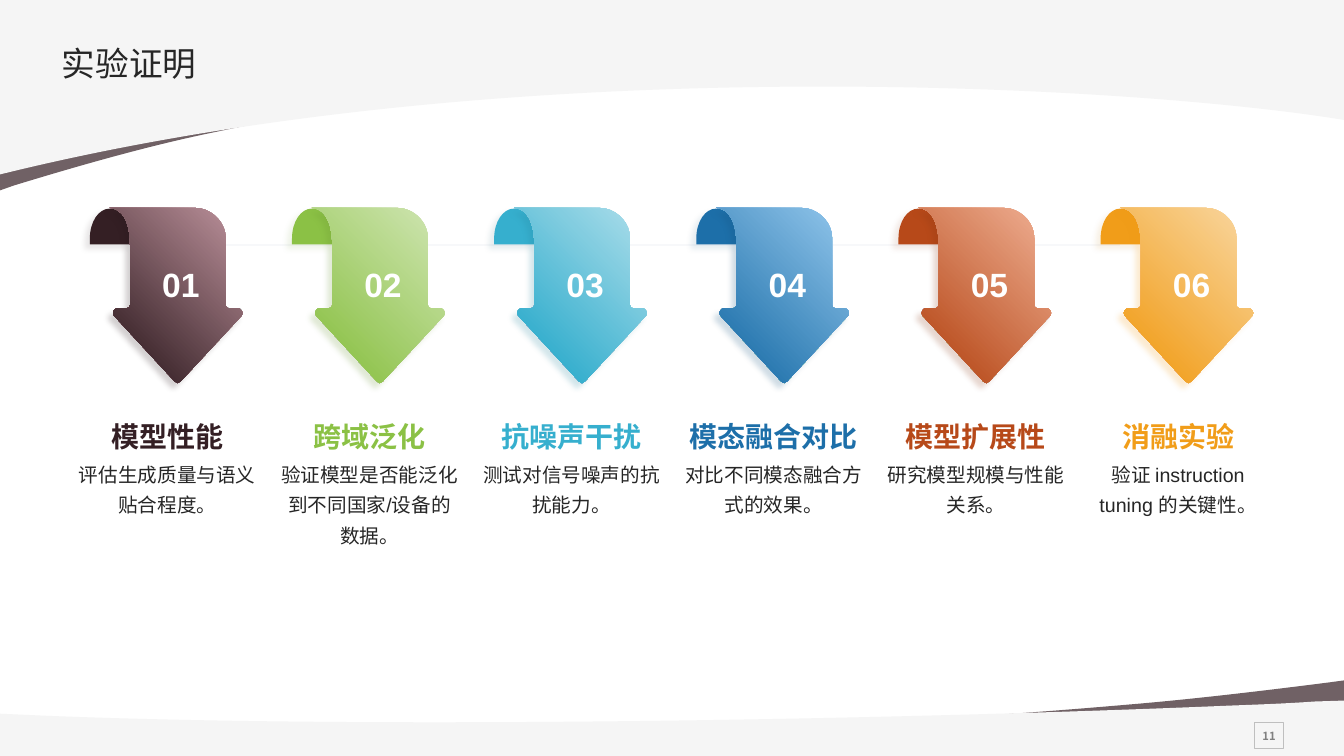
from dataclasses import dataclass

from lxml import etree
from pptx import Presentation
from pptx import util as u
from pptx.dml import color as clr
from pptx.enum import shapes, text
from pptx.oxml import ns

Pt = u.Pt


@dataclass(frozen=True)
class Theme:
    latin: str = "Arial"
    chinese: str = "Noto Sans CJK SC"
    ink: str = "262626"
    white: str = "FFFFFF"
    band: str = "F5F5F5"
    swoosh: str = "341F24"
    rail: str = "99A8BD"
    page_text: str = "808080"
    page_frame: str = "BFBFBF"
    title_size: int = 24
    number_size: int = 24
    heading_size: int = 20
    body_size: int = 14
    page_size: int = 8


THEME = Theme()

# Outlines in points: pairs are straight lines, sixes are Bézier curves
TOP_SWOOSH = [(0, 136), (0, 16), (960, 16), (960, 65.5),
              (743, 4.3, 370, 48.2, 154, 94.3), (111, 103, 62, 116.6, 10, 132.5)]
TOP_BAND = [(0, 0), (960, 0), (960, 85.7), (820.8, 62.6, 372.2, 32.4, 0, 124.6)]
BOTTOM_SWOOSH = [(960, 486), (960, 535.7), (0, 535.7), (0, 514.8),
                 (216.7, 540, 590.4, 522, 805.7, 503.3), (849, 499.7, 898, 494, 949.7, 487.4)]
BOTTOM_BAND = [(960, 500.4), (960, 540), (0, 540), (0, 509.8), (31.7, 511.2),
               (282.2, 521.3, 655.2, 513.4, 878.4, 504), (897, 503.3, 918, 502.6, 939, 501.1)]

# Arrow outlines, x measured from the left edge of the column
FOLD = [(23, 149), (31.5, 149, 38.4, 158.4, 38.4, 170.4), (38.4, 174.6), (8.8, 174.6),
        (8.8, 170.4), (8.8, 158.4, 15.1, 149, 23, 149)]
ARROW = [(23, 148.5), (84, 148.5), (88.5, 149), (98, 151.2, 105.8, 159.8, 105.8, 170),
         (105.8, 218), (105.8, 219.6, 106.8, 220.3, 108.6, 220.3), (115.2, 220.3),
         (116.5, 220.3, 118.8, 223, 117.4, 225.3), (73.6, 272.4),
         (73, 273.2, 72.4, 273.6, 71.5, 273.6), (70.6, 273.6, 69.8, 273.2, 69.4, 272.4),
         (25.9, 225.3), (24.5, 223, 26.4, 220.3, 28.3, 220.3), (34.6, 220.3),
         (36.4, 220.3, 37.5, 219.6, 37.5, 218), (37.5, 175),
         (37.5, 152, 27.4, 148.5, 23, 148.5)]

COLUMN_LEFT, COLUMN_PITCH, COLUMN_WIDTH = 55.4, 144.4, 128.2

# heading, body, main colour, light colour, its stop, fold shadow, arrow shadow
EXPERIMENTS = [
    ("模型性能", "评估生成质量与语义贴合程度。", "341F24", "BF949E", 0.9, "27171B", "27171B"),
    ("跨域泛化", "验证模型是否能泛化到不同国家/设备的数据。", "8BC145", "D1E6B5", 0.9, "699331", "699331"),
    ("抗噪声干扰", "测试对信号噪声的抗扰能力。", "36AFCE", "AFDFEB", 0.8, "195869", "26859D"),
    ("模态融合对比", "对比不同模态融合方式的效果。", "1D6FA9", "94C8ED", 0.9, "16537F", "16537F"),
    ("模型扩展性", "研究模型规模与性能关系。", "B74919", "F0B195", 0.9, "893713", "893713"),
    ("消融实验", "验证 instruction tuning 的关键性。", "F19D19", "F9D8A3", 0.9, "BC770B", "F19D19"),
]


def rgb(value):
    return clr.RGBColor.from_string(value)


def child(parent, tag, **attributes):
    return etree.SubElement(parent, ns.qn(tag), {k: str(v) for k, v in attributes.items()})


def set_alpha(element, percent):
    for color in element.iter(ns.qn("a:srgbClr")):
        child(color, "a:alpha", val=percent * 1000)


def bend(shape, outline):
    """Join each curve's three line segments into one Bézier segment."""
    contour = next(shape._element.spPr.iter(ns.qn("a:path")))
    segments = iter(contour.findall(ns.qn("a:lnTo")))
    for part in outline[1:]:
        curve = next(segments)
        if len(part) == 6:
            curve.tag = ns.qn("a:cubicBezTo")
            for segment in (next(segments), next(segments)):
                curve.append(segment[0])
                contour.remove(segment)


def add_outline(slide, outline, fill, left=0):
    points = [(Pt(left + part[i]), Pt(part[i + 1]))
              for part in outline for i in range(0, len(part), 2)]
    builder = slide.shapes.build_freeform(*points[0], scale=1.0)
    builder.add_line_segments(points[1:], close=False)
    shape = builder.convert_to_shape()
    bend(shape, outline)
    shape.shadow.inherit = False
    shape.line.fill.background()
    shape.fill.solid()
    shape.fill.fore_color.rgb = rgb(fill)
    return shape


def add_shadow(shape, color, opacity):
    effects = shape._element.spPr.find(ns.qn("a:effectLst"))
    shadow = child(effects, "a:outerShdw", blurRad=Pt(4), dist=Pt(5),
                   dir=135 * 60000, algn="tr", rotWithShape=0)
    child(shadow, "a:srgbClr", val=color)
    set_alpha(shadow, opacity)


def write(shape, words, size, color, bold=False, font=THEME.latin, align=text.PP_ALIGN.CENTER,
          anchor=text.MSO_ANCHOR.TOP, insets=(0, 0, 0, 0), wrap=True, spacing=None):
    frame = shape.text_frame
    frame.word_wrap = wrap
    frame.vertical_anchor = anchor
    frame.margin_left, frame.margin_top, frame.margin_right, frame.margin_bottom = map(Pt, insets)
    paragraph = frame.paragraphs[0]
    paragraph.alignment = align
    if spacing:
        paragraph.line_spacing = spacing
    run = paragraph.add_run()
    run.text = words
    run.font.size, run.font.bold, run.font.name = Pt(size), bold, font
    run.font.color.rgb = rgb(color)
    child(run._r.rPr, "a:ea", typeface=THEME.chinese)


def add_text(slide, box, words, size, color, **style):
    write(slide.shapes.add_textbox(*map(Pt, box)), words, size, color, **style)


def add_backdrop(slide):
    for swoosh, band in ((TOP_SWOOSH, TOP_BAND), (BOTTOM_SWOOSH, BOTTOM_BAND)):
        set_alpha(add_outline(slide, swoosh, THEME.swoosh)._element.spPr, 70)
        add_outline(slide, band, THEME.band)


def add_page_number(slide, number):
    frame = slide.shapes.add_shape(shapes.MSO_SHAPE.RECTANGLE,
                                   Pt(896.4), Pt(516.4), Pt(20.2), Pt(18))
    frame.shadow.inherit = False
    frame.fill.background()
    frame.line.color.rgb = rgb(THEME.page_frame)
    frame.line.width = Pt(0.75)
    write(frame, number, THEME.page_size, THEME.page_text, bold=True, font=THEME.chinese,
          anchor=text.MSO_ANCHOR.MIDDLE, insets=(6, 6, 6, 6), wrap=False)


def add_rail(slide):
    rail = slide.shapes.add_connector(shapes.MSO_CONNECTOR.STRAIGHT,
                                      Pt(135.4), Pt(175), Pt(800), Pt(175))
    rail.line.color.rgb = rgb(THEME.rail)
    rail.line.width = Pt(0.5)
    set_alpha(rail._element.spPr, 20)
    child(rail._element.spPr, "a:effectLst")


def add_experiment(slide, index, heading, body, main_color, light, stop, fold_shadow, arrow_shadow):
    left = COLUMN_LEFT + index * COLUMN_PITCH
    add_text(slide, (left, 325.4, COLUMN_WIDTH, 136), body, THEME.body_size, THEME.ink, spacing=1.3)
    add_text(slide, (left, 275.8, COLUMN_WIDTH, 47.5), heading, THEME.heading_size, main_color,
             bold=True, anchor=text.MSO_ANCHOR.BOTTOM)

    add_shadow(add_outline(slide, FOLD, main_color, left), fold_shadow, 10)
    arrow = add_outline(slide, ARROW, main_color, left)
    arrow.fill.gradient()
    arrow.fill.gradient_angle = 225
    for gradient_stop, color, position in zip(arrow.fill.gradient_stops,
                                              (light, main_color), (0, stop)):
        gradient_stop.color.rgb = rgb(color)
        gradient_stop.position = position
    add_shadow(arrow, arrow_shadow, 20)
    write(arrow, f"{index + 1:02}", THEME.number_size, THEME.white, bold=True,
          anchor=text.MSO_ANCHOR.MIDDLE, insets=(14.4, 6, 8.6, 23), wrap=False)


def main():
    deck = Presentation()
    deck.slide_width, deck.slide_height = Pt(960), Pt(540)
    slide = deck.slides.add_slide(deck.slide_layouts[6])

    # Backdrop and page number
    add_backdrop(slide)
    add_page_number(slide, "11")

    # Title
    add_text(slide, (38.2, 28, 864, 42), "实验证明", THEME.title_size, THEME.ink,
             font=THEME.chinese, align=text.PP_ALIGN.LEFT, insets=(6, 6, 0, 6),
             wrap=False, spacing=0.9)

    # Six experiments along the rail
    add_rail(slide)
    for index, experiment in enumerate(EXPERIMENTS):
        add_experiment(slide, index, *experiment)

    deck.save("out.pptx")


if __name__ == "__main__":
    main()
